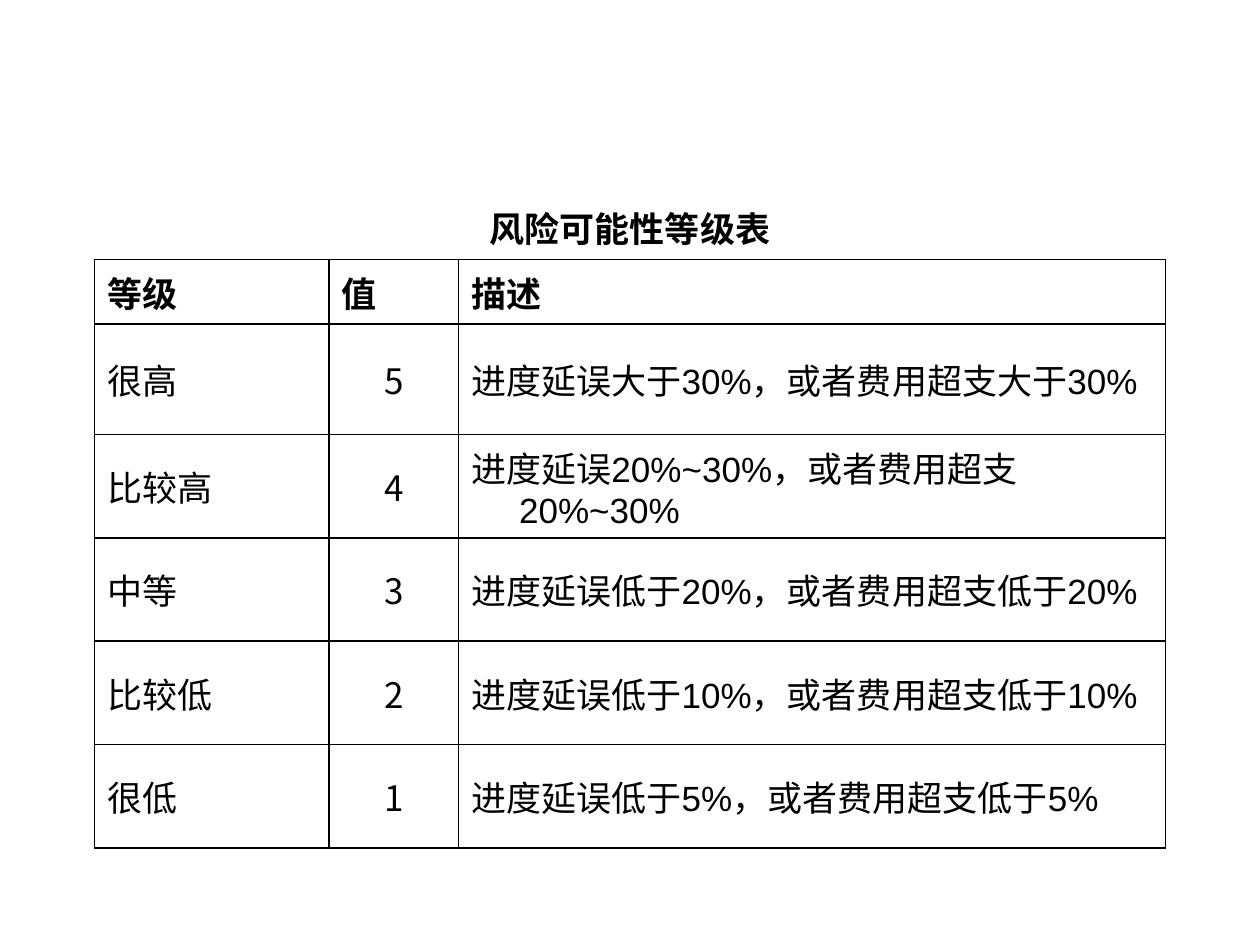
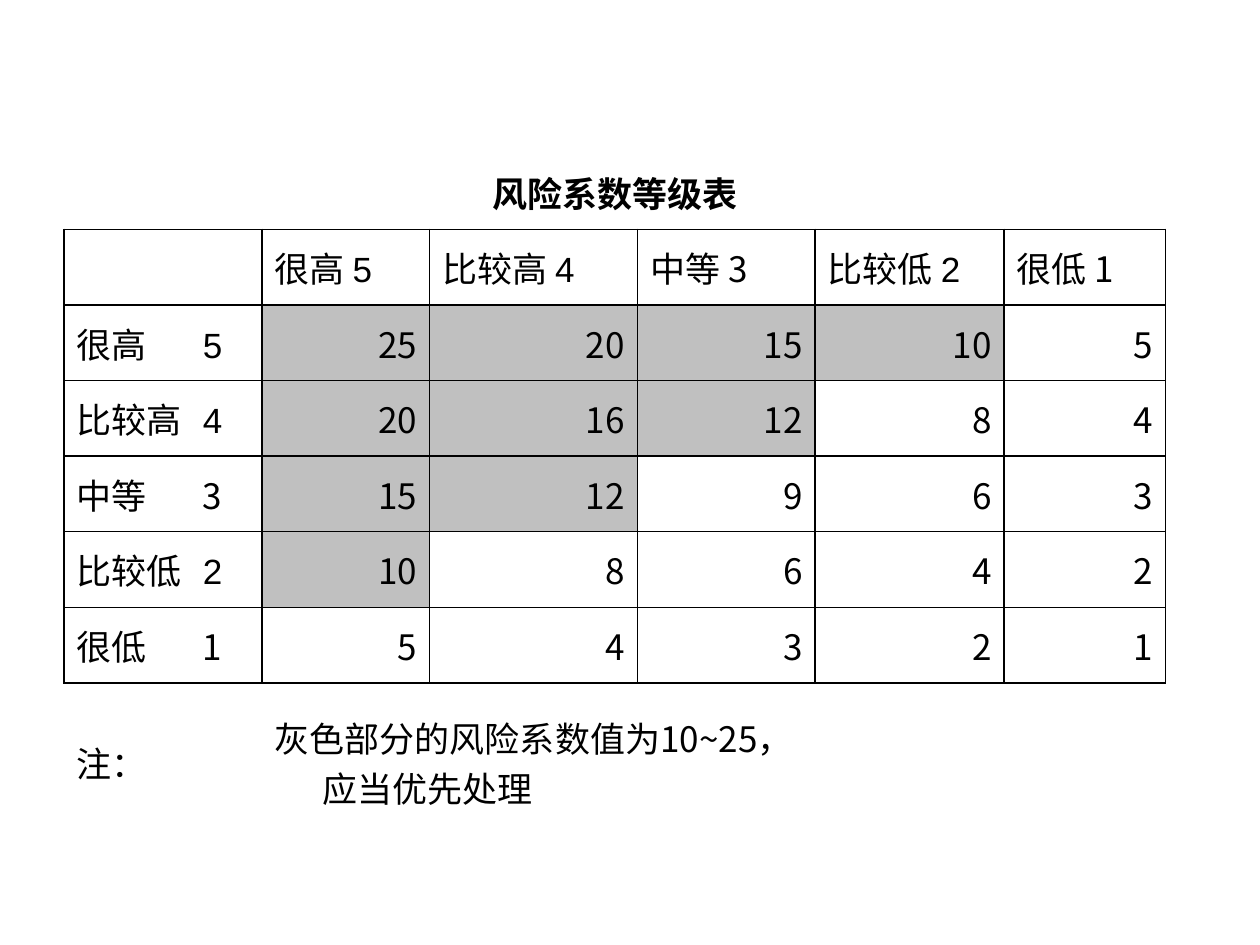
import pptx
import pptx.dml.color
import pptx.enum.text
import pptx.oxml.ns
import pptx.util
from lxml import etree

Inches = pptx.util.Inches
Pt = pptx.util.Pt
RGBColor = pptx.dml.color.RGBColor
ALIGN = pptx.enum.text.PP_ALIGN
qn = pptx.oxml.ns.qn

# Shared style
BLACK = RGBColor(0x00, 0x00, 0x00)
GRAY = RGBColor(0xC0, 0xC0, 0xC0)
CHINESE_FONT = "Noto Sans CJK SC"
LATIN_FONT = "Arial"
TEXT_SIZE = Pt(20)
HANGING_INDENT = Inches(0.38)
PRIORITY_LIMIT = 10

# Likelihood: level, value, comparison word, share
LIKELIHOODS = [
    ("很高", 5, "大于", "30%"),
    ("比较高", 4, "", "20%~30%"),
    ("中等", 3, "低于", "20%"),
    ("比较低", 2, "低于", "10%"),
    ("很低", 1, "低于", "5%"),
]

# Font and tab position of each value in the row labels of the matrix
VALUE_STYLES = {
    5: (LATIN_FONT, 1.0),
    4: (LATIN_FONT, 1.03),
    3: (CHINESE_FONT, 0.81),
    2: (LATIN_FONT, 1.03),
    1: (CHINESE_FONT, 0.81),
}


def add_grid(page, left, top, widths, heights):
    """Add a table without any preset banding or header style."""
    frame = page.shapes.add_table(
        len(heights), len(widths), Inches(left), Inches(top),
        Inches(sum(widths)), Inches(sum(heights)))
    table = frame.table
    table.first_row = False
    table.horz_banding = False
    for column, width in zip(table.columns, widths):
        column.width = Inches(width)
    for row, height in zip(table.rows, heights):
        row.height = Inches(height)
    return table


def set_borders(cell, sides):
    """Draw a thin black line on the named sides and none on the others."""
    properties = cell._tc.get_or_add_tcPr()
    for side in "LRTB":
        line = etree.SubElement(properties, qn(f"a:ln{side}"), w=str(Pt(1)))
        if side in sides:
            fill = etree.SubElement(line, qn("a:solidFill"))
            etree.SubElement(fill, qn("a:srgbClr"), val=str(BLACK))
        else:
            etree.SubElement(line, qn("a:noFill"))


def style_cells(table, open_rows):
    """Border every cell; open rows map a row number to its only sides."""
    for number, row in enumerate(table.rows):
        for cell in row.cells:
            set_borders(cell, open_rows.get(number, "LRTB"))
            cell.fill.background()
            cell.vertical_anchor = pptx.enum.text.MSO_ANCHOR.MIDDLE


def write_cell(cell, *spans, align=ALIGN.LEFT, bold=False, tab=None):
    """Write (text, font) spans, with a hanging indent or a tab stop."""
    para = cell.text_frame.paragraphs[0]
    para.alignment = align
    properties = para._p.get_or_add_pPr()
    if tab is None:
        properties.set("marL", str(HANGING_INDENT))
        properties.set("indent", str(-HANGING_INDENT))
    else:
        stops = etree.SubElement(properties, qn("a:tabLst"))
        etree.SubElement(stops, qn("a:tab"), pos=str(Inches(tab)), algn="l")
    for text, font in spans:
        span = para.add_run()
        span.text = text
        span.font.name = font
        span.font.size = TEXT_SIZE
        span.font.bold = bold
        span.font.color.rgb = BLACK
        etree.SubElement(span.font._element, qn("a:ea"), typeface=CHINESE_FONT)


def write_table_title(table, text):
    title = table.cell(0, 0)
    title.merge(table.cell(0, len(table.columns) - 1))
    write_cell(title, (text, CHINESE_FONT), align=ALIGN.CENTER, bold=True)


def build_likelihood_page(page):
    table = add_grid(page, 0.75, 1.55, [1.86, 1.03, 5.61],
                     [0.51, 0.51, 0.88] + [0.82] * 4)
    style_cells(table, {0: "B"})
    write_table_title(table, "风险可能性等级表")
    for column, heading in enumerate(["等级", "值", "描述"]):
        write_cell(table.cell(1, column), (heading, CHINESE_FONT), bold=True)

    for row, (level, value, comparison, share) in enumerate(LIKELIHOODS, 2):
        write_cell(table.cell(row, 0), (level, CHINESE_FONT))
        write_cell(table.cell(row, 1), (str(value), CHINESE_FONT),
                   align=ALIGN.CENTER)
        write_cell(table.cell(row, 2),
                   (f"进度延误{comparison}", CHINESE_FONT), (share, LATIN_FONT),
                   (f"，或者费用超支{comparison}", CHINESE_FONT),
                   (share, LATIN_FONT))


def build_matrix_page(page):
    table = add_grid(page, 0.51, 1.23, [1.57, 1.33, 1.65, 1.41, 1.5, 1.28],
                     [0.59] + [0.6] * 6 + [1.26])
    note_row = len(table.rows) - 1
    style_cells(table, {0: "B", note_row: "T"})
    write_table_title(table, "风险系数等级表")

    # Headings on both axes
    for index, (level, value, *_) in enumerate(LIKELIHOODS, 1):
        font, tab = VALUE_STYLES[value]
        write_cell(table.cell(1, index),
                   (f"{level} ", CHINESE_FONT), (str(value), font))
        write_cell(table.cell(index + 1, 0),
                   (f"{level}\t", CHINESE_FONT), (str(value), font),
                   tab=tab - 0.61)

    # Each coefficient is the product of its row and column values
    for row, (_, row_value, *_) in enumerate(LIKELIHOODS, 2):
        for column, (_, column_value, *_) in enumerate(LIKELIHOODS, 1):
            cell = table.cell(row, column)
            coefficient = row_value * column_value
            write_cell(cell, (str(coefficient), CHINESE_FONT),
                       align=ALIGN.RIGHT)
            if coefficient >= PRIORITY_LIMIT:
                cell.fill.solid()
                cell.fill.fore_color.rgb = GRAY

    # Note below the matrix
    write_cell(table.cell(note_row, 0), ("注：", CHINESE_FONT))
    note = table.cell(note_row, 1)
    note.merge(table.cell(note_row, 3))
    write_cell(note, ("灰色部分的风险系数值为10~25，应当优先处理", CHINESE_FONT))


def main():
    deck = pptx.Presentation()
    deck.slide_width = Inches(10)
    deck.slide_height = Inches(7.5)
    blank_layout = deck.slide_layouts[6]
    for build_page in (build_likelihood_page, build_matrix_page):
        build_page(deck.slides.add_slide(blank_layout))
    deck.save("out.pptx")


if __name__ == "__main__":
    main()
